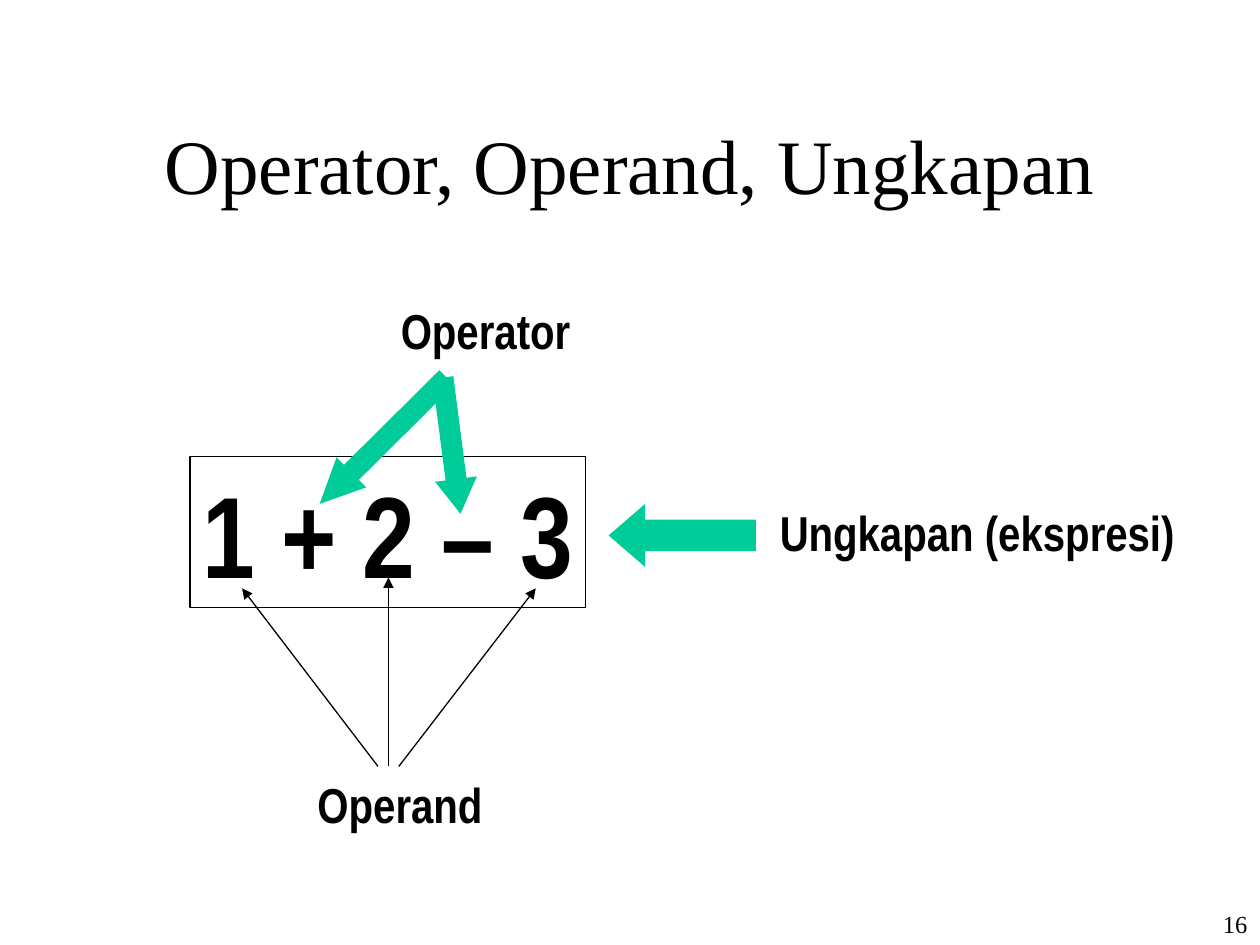
from lxml.etree import SubElement
from pptx import Presentation
from pptx.dml.color import RGBColor
from pptx.enum.shapes import MSO_CONNECTOR, MSO_SHAPE
from pptx.enum.text import MSO_ANCHOR, MSO_AUTO_SIZE, PP_ALIGN
from pptx.oxml.ns import qn
from pptx.util import Cm, Pt

COLORS = {"ink": "000000", "arrow": "00CC99"}
INK = RGBColor.from_string(COLORS["ink"])
SERIF = {"name": "Times New Roman", "bold": False}
NARROW = {"name": "Arial Narrow", "bold": True}


def write(part, text, size, face, align, anchor=MSO_ANCHOR.TOP, margin_right=0.25):
    frame = part.text_frame
    frame_format = {"text": text, "word_wrap": True, "vertical_anchor": anchor,
                    "auto_size": MSO_AUTO_SIZE.NONE, "margin_right": Cm(margin_right)}
    for key, value in frame_format.items():
        setattr(frame, key, value)
    paragraph = frame.paragraphs[0]
    paragraph.alignment = align
    font = paragraph.runs[0].font
    for key, value in {**face, "size": Pt(size)}.items():
        setattr(font, key, value)
    font.color.rgb = INK


presentation = Presentation()
presentation.slide_width = Cm(25.4)
presentation.slide_height = Cm(19.05)
slide = presentation.slides.add_slide(presentation.slide_layouts[5])
shapes = slide.shapes

title = shapes.title
title_place = {"left": 1.9, "top": 1.7, "width": 21.59, "height": 3.18}
for key, value in title_place.items():
    setattr(title, key, Cm(value))
write(title, "Operator, Operand, Ungkapan", 44, SERIF, PP_ALIGN.CENTER, MSO_ANCHOR.MIDDLE)

page_number = shapes.add_textbox(Cm(20.12), Cm(18.21), Cm(5.28), Cm(1.27))
write(page_number, "16", 14, SERIF, PP_ALIGN.RIGHT)

expression = shapes.add_shape(MSO_SHAPE.RECTANGLE, Cm(3.83), Cm(9.2), Cm(7.98), Cm(3.05))
expression.shadow.inherit = False
expression.fill.background()
expression.line.color.rgb = INK
expression.line.width = Pt(0.75)
write(expression, "1 + 2 – 3", 66, NARROW, PP_ALIGN.LEFT, margin_right=0)

labels = [
    ("Ungkapan (ekspresi)", 15.47, 10.01, 8.46),
    ("Operator", 7.83, 5.93, 3.91),
    ("Operand", 6.15, 15.49, 4.01),
]
for text, left, top, width in labels:
    label = shapes.add_textbox(Cm(left), Cm(top), Cm(width), Cm(1.45))
    write(label, text, 28, NARROW, PP_ALIGN.LEFT, margin_right=0)

block_arrows = [
    (MSO_SHAPE.LEFT_ARROW, 12.27, 10.16, 2.97, 1.27, 0, 0.58),
    (MSO_SHAPE.RIGHT_ARROW, 5.92, 8.46, 3.61, 0.85, 135.2, 1.06),
    (MSO_SHAPE.RIGHT_ARROW, 7.72, 8.56, 2.77, 0.85, 82.6, 0.83),
]
for preset, left, top, width, height, rotation, head_length in block_arrows:
    block_arrow = shapes.add_shape(preset, Cm(left), Cm(top), Cm(width), Cm(height))
    block_arrow.rotation = rotation
    block_arrow.adjustments[1] = head_length
    block_arrow.shadow.inherit = False
    block_arrow.fill.solid()
    block_arrow.fill.fore_color.rgb = RGBColor.from_string(COLORS["arrow"])
    block_arrow.line.fill.background()

operand_pointers = [(7.62, 4.88, 11.86), (7.83, 7.83, 11.64), (8.04, 10.8, 11.86)]
for start_x, end_x, end_y in operand_pointers:
    pointer = shapes.add_connector(
        MSO_CONNECTOR.STRAIGHT, Cm(start_x), Cm(15.45), Cm(end_x), Cm(end_y))
    pointer.line.color.rgb = INK
    pointer.line.width = Pt(0.75)
    SubElement(pointer.line._get_or_add_ln(), qn("a:tailEnd"), type="triangle")
    SubElement(pointer._element.spPr, qn("a:effectLst"))

presentation.save("out.pptx")
